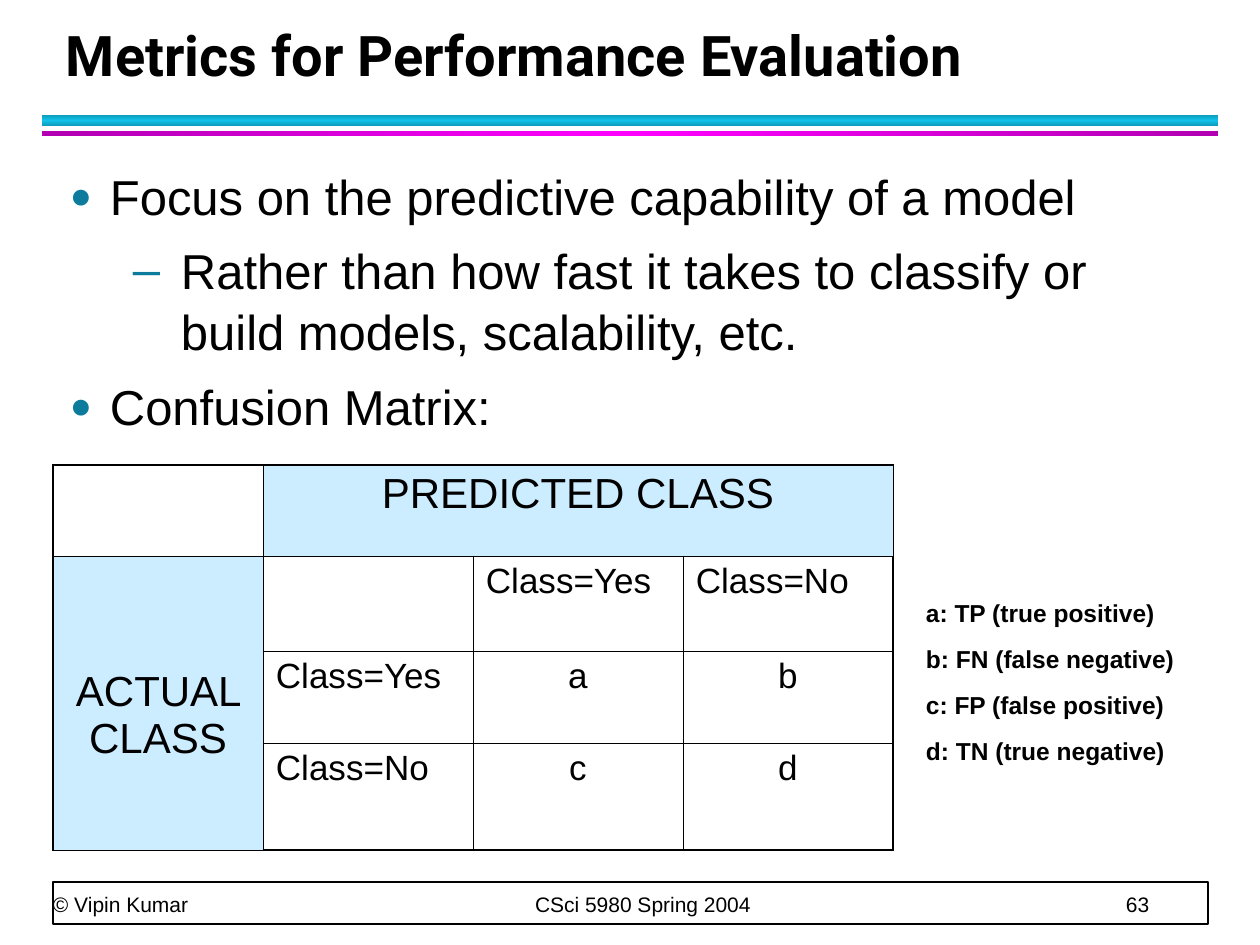
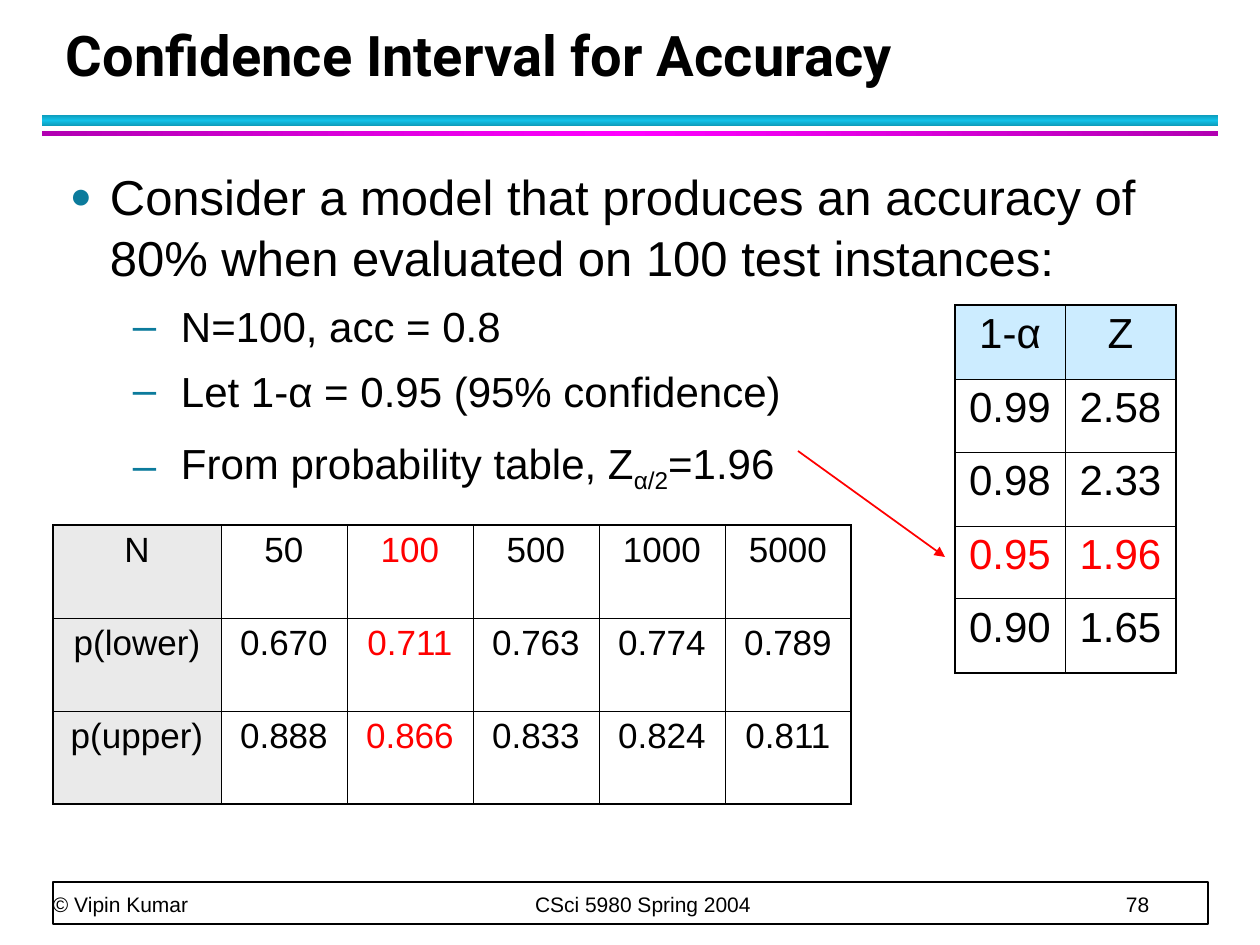
from copy import deepcopy

from pptx import Presentation
from pptx import util as u
from pptx.dml.color import RGBColor
from pptx.enum import shapes, text
from pptx.oxml import parse_xml
from pptx.oxml.ns import nsdecls, qn

# Colours
BLACK = RGBColor(0x00, 0x00, 0x00)
WHITE = RGBColor(0xFF, 0xFF, 0xFF)
RED = RGBColor(0xFF, 0x00, 0x00)
CYAN = RGBColor(0x12, 0xC2, 0xE9)
DARK_CYAN = RGBColor(0x0E, 0x9B, 0xBA)
MAGENTA = RGBColor(0xFF, 0x00, 0xFF)
DARK_MAGENTA = RGBColor(0xB2, 0x00, 0xB2)
BULLET_TEAL = RGBColor(0x0C, 0x7B, 0x9C)
PALE_BLUE = RGBColor(0xCC, 0xEC, 0xFF)
PALE_GREY = RGBColor(0xEA, 0xEA, 0xEA)

CENTER, LEFT = text.PP_ALIGN.CENTER, text.PP_ALIGN.LEFT
THIN, THICK = 0.45, 1.08
# Per level: bullet, size in percent, left margin and hang in px
BULLETS = [("●", 75, 40, 40), ("–", 100, 111, 48)]


def px(n):
    return u.Emu(round(n * 914400 / 126))


def a_element(tag, attributes="", inner=""):
    return parse_xml(f"<a:{tag} {nsdecls('a')} {attributes}>{inner}</a:{tag}>")


class Deck:
    """Holds the shared style and the current slide."""

    body_font, title_font = "Arial", "Roboto"

    def __init__(self):
        self.prs = Presentation()
        self.prs.slide_width, self.prs.slide_height = px(1260), px(945)

    def new_slide(self, title, number):
        self.slide = self.prs.slides.add_slide(self.prs.slide_layouts[6])
        # Bands under the title
        self.band(115, 11, DARK_CYAN, CYAN, 90)
        self.band(131, 5, DARK_MAGENTA, MAGENTA, 0)
        # Footer
        frame = self.rect(53, 882, 1155, 42)
        frame.fill.solid()
        frame.fill.fore_color.rgb = WHITE
        frame.line.color.rgb = BLACK
        frame.line.width = u.Pt(1)
        footer = self.text_box(53, 847, 1153, 70, margins=(0, 0), bottom=True)
        line = footer.paragraphs[0]
        line.text = f"© Vipin Kumar\tCSci 5980 Spring 2004\t{number}"
        line.line_spacing = u.Pt(20)
        self.format(line, 12)
        stops = "".join(f'<a:tab pos="{px(x)}" algn="l"/>' for x in (482, 1073))
        line._p.get_or_add_pPr().append(a_element("tabLst", inner=stops))
        # Title
        heading = self.text_box(53, 21, 1142, 73, bottom=True).paragraphs[0]
        heading.text = title
        heading.line_spacing = u.Pt(36)
        self.format(heading, 32, bold=True, font=self.title_font)

    def rect(self, x, y, w, h):
        shape = self.slide.shapes.add_shape(
            shapes.MSO_SHAPE.RECTANGLE, px(x), px(y), px(w), px(h))
        shape.shadow.inherit = False
        return shape

    def band(self, y, height, edge, middle, angle):
        band = self.rect(42, y, 1176, height)
        band.line.fill.background()
        band.fill.gradient()
        band.fill.gradient_angle = angle
        stops = band._element.spPr.find(".//" + qn("a:gsLst"))
        stops.insert(1, deepcopy(stops[0]))
        for i, (stop, color) in enumerate(
                zip(band.fill.gradient_stops, (edge, middle, edge))):
            stop.position = i / 2
            stop.color.rgb = color

    def text_box(self, x, y, w, h, margins=(13, 6), bottom=False):
        box = self.slide.shapes.add_textbox(px(x), px(y), px(w), px(h))
        frame = box.text_frame
        frame.word_wrap = True
        frame.margin_left = frame.margin_right = px(margins[0])
        frame.margin_top = frame.margin_bottom = px(margins[1])
        if bottom:
            frame.vertical_anchor = text.MSO_ANCHOR.BOTTOM
        return frame

    def format(self, paragraph, size, color=BLACK, bold=False, font=None):
        for run in paragraph.runs:
            run.font.name = font or self.body_font
            run.font.size = u.Pt(size)
            run.font.bold = bold
            run.font.color.rgb = color

    def body(self, items):
        """Each item: level, size, space before, text, then any subscript and rest."""
        frame = self.text_box(57, 158, 1147, 714)
        for i, (level, size, before, *pieces) in enumerate(items):
            line = frame.add_paragraph() if i else frame.paragraphs[0]
            for j, piece in enumerate(pieces):
                run = line.add_run()
                run.text = piece
                if j == 1:
                    run._r.get_or_add_rPr().set("baseline", "-25000")
            self.format(line, size)
            line.level = level
            line.line_spacing = 1.04
            line.space_before, line.space_after = u.Pt(before), u.Pt(4)
            self.bullet(line, *BULLETS[level])

    def bullet(self, paragraph, char, percent, margin, hang):
        props = paragraph._p.get_or_add_pPr()
        props.set("marL", str(px(margin)))
        props.set("indent", str(px(-hang)))
        props.append(a_element("buClr", inner=f'<a:srgbClr val="{BULLET_TEAL}"/>'))
        props.append(a_element("buSzPct", f'val="{percent * 1000}"'))
        props.append(a_element("buFont", f'typeface="{self.body_font}"'))
        props.append(a_element("buChar", f'char="{char}"'))

    def legend(self, x, y, w, h, lines):
        frame = self.text_box(x, y, w, h)
        frame.text = "\n".join(lines)
        for line in frame.paragraphs:
            line.space_before = u.Pt(8.8)
            line.line_spacing = 1.04
            self.format(line, 14, bold=True)

    def table(self, x, y, widths, heights, rows, style):
        """style(row, column) gives size, alignment, text colour and fill."""
        last_row, last_col = len(heights) - 1, len(widths) - 1
        grid = self.slide.shapes.add_table(
            len(heights), len(widths), px(x), px(y),
            px(sum(widths)), px(sum(heights))).table
        grid.first_row = grid.horz_banding = False
        for column, width in zip(grid.columns, widths):
            column.width = px(width)
        for row, height in zip(grid.rows, heights):
            row.height = px(height)
        for r, values in enumerate(rows):
            for c, value in enumerate(values):
                cell = grid.cell(r, c)
                size, align, color, fill = style(r, c)
                self.borders(cell, L=c == 0, R=c == last_col,
                             T=r == 0, B=r == last_row)
                if fill is None:
                    cell.fill.background()
                else:
                    cell.fill.solid()
                    cell.fill.fore_color.rgb = fill
                cell.margin_left = cell.margin_right = px(13)
                cell.margin_top = cell.margin_bottom = px(6)
                if value:
                    cell.text_frame.text = value
                    line = cell.text_frame.paragraphs[0]
                    line.alignment = align
                    self.format(line, size, color)
        return grid

    def borders(self, cell, **outer):
        props = cell._tc.get_or_add_tcPr()
        for side, is_outer in outer.items():
            width = u.Pt(THICK if is_outer else THIN)
            props.append(a_element(
                f"ln{side}", f'w="{width}"',
                f'<a:solidFill><a:srgbClr val="{BLACK}"/></a:solidFill>'))

    def arrow(self, x1, y1, x2, y2, color):
        arrow = self.slide.shapes.add_connector(
            shapes.MSO_CONNECTOR.STRAIGHT, px(x1), px(y1), px(x2), px(y2))
        arrow.line.color.rgb = color
        arrow.line.width = u.Pt(1)
        props = arrow._element.spPr
        props.find(qn("a:ln")).append(a_element("tailEnd", 'type="triangle"'))
        props.append(a_element("effectLst"))


def confusion_style(r, c):
    if (r == 0) != (c == 0):
        return 24, CENTER, BLACK, PALE_BLUE
    return 20, CENTER if r > 1 and c > 1 else LEFT, BLACK, None


def z_style(r, c):
    return 24, CENTER, RED if r == 3 else BLACK, None if r else PALE_BLUE


def bounds_style(r, c):
    return 20, CENTER, RED if c == 2 else BLACK, None if c else PALE_GREY


def metrics_slide(deck):
    deck.new_slide("Metrics for Performance Evaluation", 63)
    deck.body([
        (0, 28, 3.5, "Focus on the predictive capability of a model"),
        (1, 28, 3.5, "Rather than how fast it takes to classify or "
                     "build models, scalability, etc."),
        (0, 28, 3.5, "Confusion Matrix:"),
    ])
    # Confusion matrix with its meanings
    confusion = deck.table(53, 465, [210] * 4, [91, 95, 92, 107], [
        ["", "PREDICTED CLASS", "", ""],
        ["ACTUAL CLASS", "", "Class=Yes", "Class=No"],
        ["", "Class=Yes", "a", "b"],
        ["", "Class=No", "c", "d"],
    ], confusion_style)
    confusion.cell(0, 1).merge(confusion.cell(0, 3))
    actual = confusion.cell(1, 0)
    actual.merge(confusion.cell(3, 0))
    actual.vertical_anchor = text.MSO_ANCHOR.MIDDLE
    actual.margin_top = px(31)
    deck.legend(913, 591, 305, 176, [
        "a: TP (true positive)", "b: FN (false negative)",
        "c: FP (false positive)", "d: TN (true negative)",
    ])


def confidence_slide(deck):
    deck.new_slide("Confidence Interval for Accuracy", 78)
    deck.body([
        (0, 28, 3.5, "Consider a model that produces an accuracy of "
                     "80% when evaluated on 100 test instances:"),
        (1, 24, 3, "N=100, acc = 0.8"),
        (1, 24, 3, "Let 1-α = 0.95 (95% confidence)"),
        (1, 24, 7, "From probability table, Z", "α/2", "=1.96"),
    ])
    # Probability table, with the chosen row pointed out
    deck.table(955, 305, [110, 111], [74, 73, 74, 73, 74], [
        ["1-α", "Z"],
        ["0.99", "2.58"],
        ["0.98", "2.33"],
        ["0.95", "1.96"],
        ["0.90", "1.65"],
    ], z_style)
    deck.arrow(798, 451, 945, 557, RED)
    # Interval bounds by sample size
    deck.table(53, 525, [168] + [126] * 5, [93] * 3, [
        ["N", "50", "100", "500", "1000", "5000"],
        ["p(lower)", "0.670", "0.711", "0.763", "0.774", "0.789"],
        ["p(upper)", "0.888", "0.866", "0.833", "0.824", "0.811"],
    ], bounds_style)


def main():
    deck = Deck()
    metrics_slide(deck)
    confidence_slide(deck)
    deck.prs.save("out.pptx")


if __name__ == "__main__":
    main()
